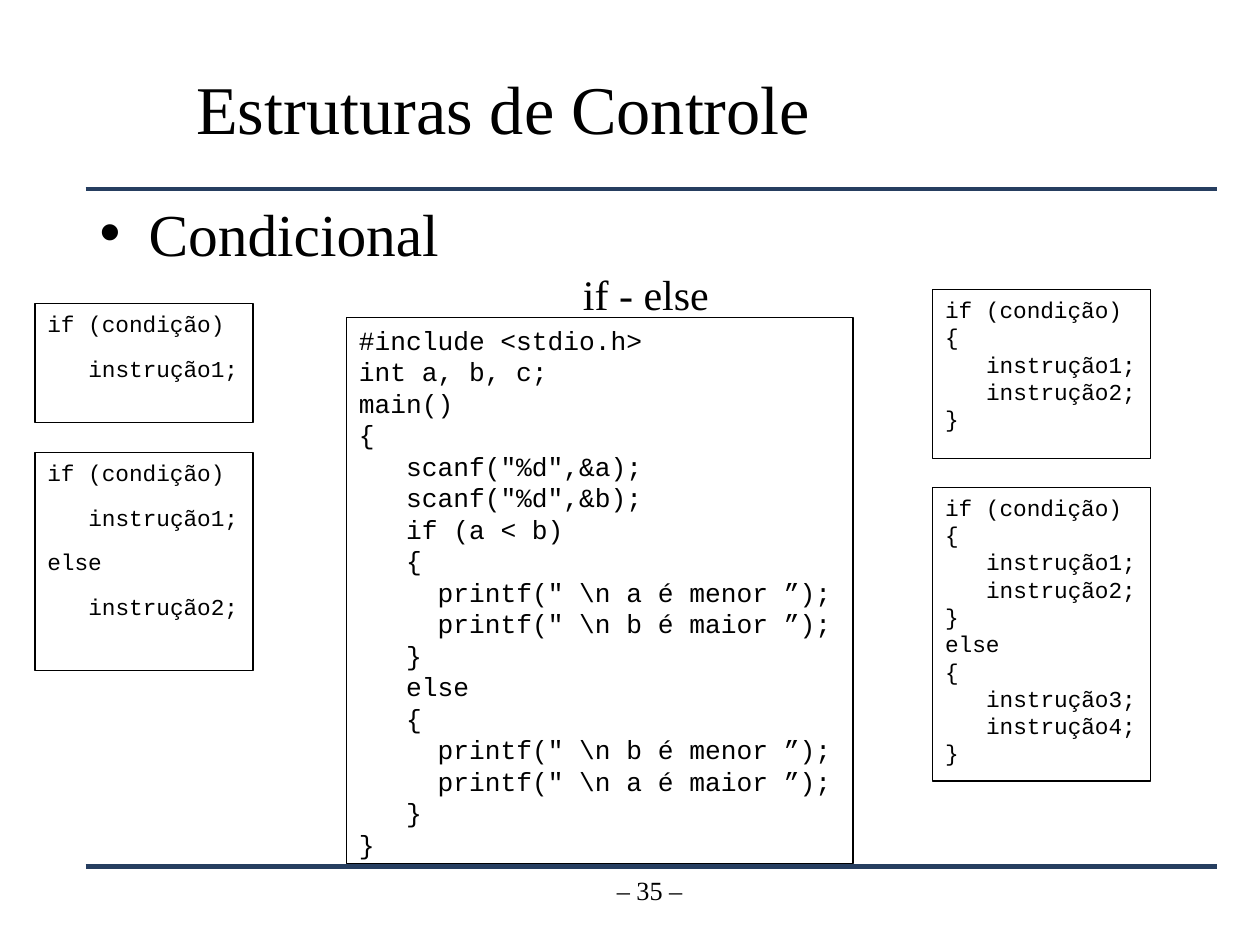
import pptx
import pptx.dml.color
import pptx.enum.shapes
import pptx.enum.text
import pptx.util
from dataclasses import dataclass
from lxml import etree

Pt = pptx.util.Pt
RGB = pptx.dml.color.RGBColor
ALIGN = pptx.enum.text.PP_ALIGN
ANCHOR = pptx.enum.text.MSO_ANCHOR


@dataclass(frozen=True)
class Theme:
    text: RGB = RGB(0, 0, 0)
    paper: RGB = RGB(255, 255, 255)
    rule: RGB = RGB.from_string("263E60")
    serif: str = "Times New Roman"
    mono: str = "Courier New"
    title: int = 39
    bullet: int = 34
    label: int = 24
    program: int = 15
    syntax: int = 13
    number: int = 15


theme = Theme()


def add_run(p, text, size, font=theme.serif):
    r = p.add_run()
    r.text = text
    r.font.size = Pt(size)
    r.font.name = font
    r.font.color.rgb = theme.text


def place(sp, left, top, width, height):
    sp.left, sp.top, sp.width, sp.height = Pt(left), Pt(top), Pt(width), Pt(height)


prs = pptx.Presentation()
prs.slide_width, prs.slide_height = Pt(720), Pt(540)
s = prs.slides.add_slide(prs.slide_layouts[1])

# Rules above and below the content
for y in (108, 495.4):
    line = s.shapes.add_connector(
        pptx.enum.shapes.MSO_CONNECTOR.STRAIGHT, Pt(49), Pt(y), Pt(695.5), Pt(y))
    line.line.color.rgb = theme.rule
    line.line.width = Pt(2.83)
    etree.SubElement(line._element.spPr, pptx.oxml.ns.qn("a:effectLst"))

# Title and bullet
title, body = s.placeholders[0], s.placeholders[1]
place(title, 105, 23, 652, 77)
place(body, 49.7, 108.7, 645, 59)
for sp, text, size, anchor in (
        (title, "Estruturas de Controle", theme.title, ANCHOR.MIDDLE),
        (body, "Condicional", theme.bullet, ANCHOR.TOP)):
    tf = sp.text_frame
    tf.auto_size = pptx.enum.text.MSO_AUTO_SIZE.NONE
    tf.vertical_anchor = anchor
    p = tf.paragraphs[0]
    p.alignment = ALIGN.LEFT
    add_run(p, text, size)
pPr = body.text_frame.paragraphs[0]._p.get_or_add_pPr()
pPr.set("marL", str(Pt(28)))
pPr.set("indent", str(Pt(-28)))

# Code boxes: left, top, width, height, type size, space after, code
SINGLE_IF = """if (condição)
   instrução1;"""
SINGLE_ELSE = SINGLE_IF + """
else
   instrução2;"""
BLOCK_IF = """if (condição)
{
   instrução1;
   instrução2;
}"""
BLOCK_ELSE = BLOCK_IF + """
else
{
   instrução3;
   instrução4;
}"""
PROGRAM = r"""#include <stdio.h>
int a, b, c;
main()
{
   scanf("%d",&a);
   scanf("%d",&b);
   if (a < b)
   {
     printf(" \n a é menor ”);
     printf(" \n b é maior ”);
   }
   else
   {
     printf(" \n b é menor ”);
     printf(" \n a é maior ”);
   }
}"""
boxes = [
    (20, 173.5, 124.6, 68, theme.syntax, 10, SINGLE_IF),
    (198, 181.5, 289.5, 312, theme.program, 0, PROGRAM),
    (20, 258.5, 124.6, 124.6, theme.syntax, 10, SINGLE_ELSE),
    (533, 165.5, 124.6, 96.5, theme.syntax, 0, BLOCK_IF),
    (533, 278.6, 124.6, 167.8, theme.syntax, 0, BLOCK_ELSE),
]
for left, top, width, height, size, after, code in boxes:
    sp = s.shapes.add_shape(
        pptx.enum.shapes.MSO_SHAPE.RECTANGLE, Pt(left), Pt(top), Pt(width), Pt(height))
    sp.shadow.inherit = False
    sp.fill.solid()
    sp.fill.fore_color.rgb = theme.paper
    sp.line.color.rgb = theme.text
    sp.line.width = Pt(0.75)
    tf = sp.text_frame
    tf.word_wrap = True
    tf.vertical_anchor = ANCHOR.TOP
    for i, row in enumerate(code.splitlines()):
        p = tf.add_paragraph() if i else tf.paragraphs[0]
        p.alignment = ALIGN.LEFT
        p.line_spacing = Pt(1.2 * size)
        p.space_after = Pt(after)
        # A monospaced character is 0.6 of the type size wide
        depth = len(row) - len(row.lstrip())
        p._p.get_or_add_pPr().set("marL", str(Pt(depth * 0.6 * size)))
        add_run(p, row.lstrip(), size, theme.mono)

# Label above the program, and page number
for left, top, width, height, text, size, align, wrap in (
        (326, 150, 87, 36, "if - else", theme.label, ALIGN.LEFT, False),
        (287.3, 496, 167.8, 37.4, "– 35 –", theme.number, ALIGN.CENTER, True)):
    sp = s.shapes.add_textbox(Pt(left), Pt(top), Pt(width), Pt(height))
    tf = sp.text_frame
    tf.word_wrap = wrap
    p = tf.paragraphs[0]
    p.alignment = align
    add_run(p, text, size)

prs.save("out.pptx")
